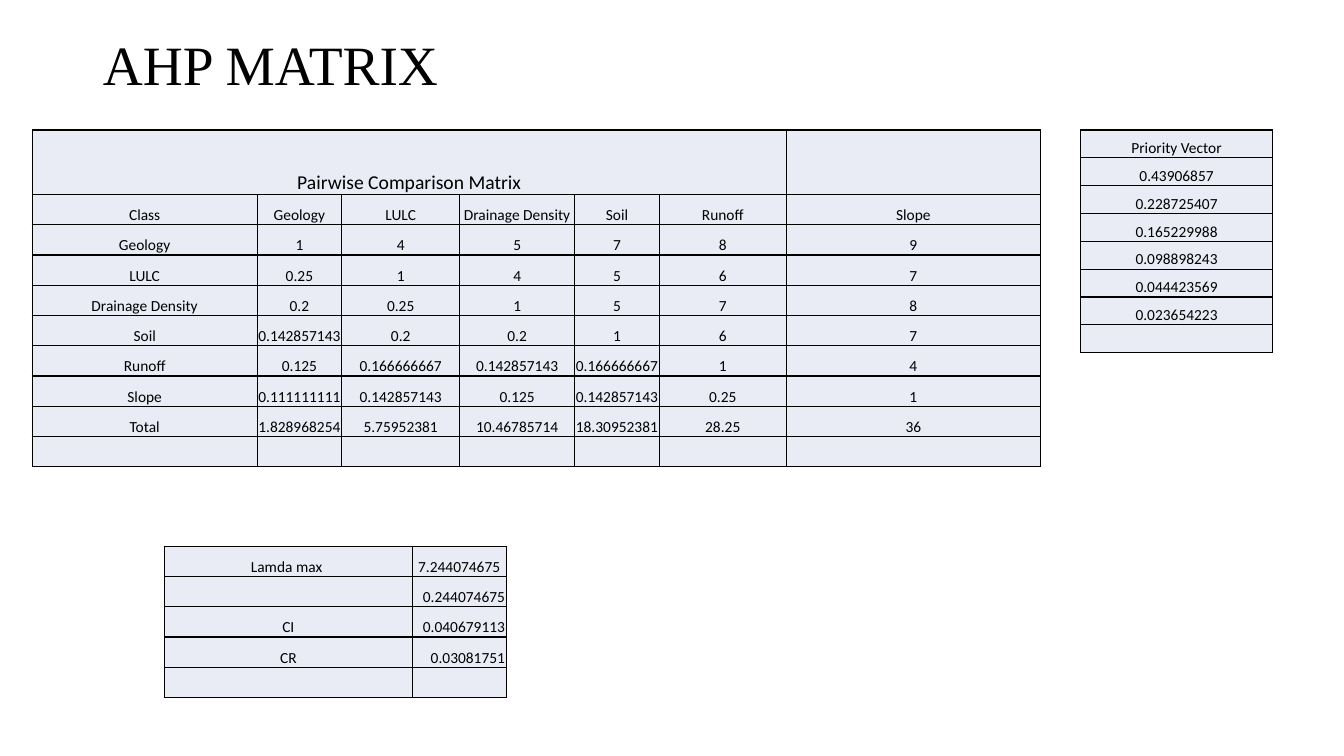
import lxml.etree
import pptx
import pptx.dml.color
import pptx.enum.text
import pptx.oxml.ns
import pptx.util

Inches, Pt = pptx.util.Inches, pptx.util.Pt
ALIGN, ANCHOR = pptx.enum.text.PP_ALIGN, pptx.enum.text.MSO_ANCHOR
INK, CELL_FILL = "000000", "E9EBF5"


def color(value):
    return pptx.dml.color.RGBColor.from_string(value)


def add_grid(left, top, widths, heights, rows):
    """Add a filled, fully ruled table with centred text and return it."""
    table = slide.shapes.add_table(
        len(heights), len(widths), Inches(left), Inches(top),
        Inches(sum(widths)), Inches(sum(heights))).table
    table.first_row = table.horz_banding = False
    for column, width in zip(table.columns, widths):
        column.width = Inches(width)
    for row, height, words in zip(table.rows, heights, rows):
        row.height = Inches(height)
        for cell, word in zip(row.cells, words):
            cell.margin_left = cell.margin_right = cell.margin_top = Inches(0.01)
            cell.margin_bottom = 0
            cell.vertical_anchor = ANCHOR.BOTTOM
            cell.text = word
            paragraph = cell.text_frame.paragraphs[0]
            paragraph.alignment = ALIGN.CENTER
            paragraph.font.size = Pt(11)
            paragraph.font.name = "Calibri"
            paragraph.font.color.rgb = color(INK)
            cell.fill.solid()
            cell.fill.fore_color.rgb = color(CELL_FILL)
            properties = cell.fill._xPr
            for index, side in enumerate(("lnL", "lnR", "lnT", "lnB")):
                border = lxml.etree.Element(pptx.oxml.ns.qn(f"a:{side}"), w=str(Pt(1)))
                solid = lxml.etree.SubElement(border, pptx.oxml.ns.qn("a:solidFill"))
                lxml.etree.SubElement(solid, pptx.oxml.ns.qn("a:srgbClr"), val=INK)
                properties.insert(index, border)
    return table


prs = pptx.Presentation()
prs.slide_width, prs.slide_height = Inches(13.33), Inches(7.5)
slide = prs.slides.add_slide(prs.slide_layouts[5])

title = slide.shapes.title
title.left, title.top = Inches(0.92), Inches(0.4)
title.width, title.height = Inches(11.5), Inches(0.54)
title.text_frame.text = "AHP MATRIX"
title.text_frame.auto_size = pptx.enum.text.MSO_AUTO_SIZE.NONE
title.text_frame.vertical_anchor = ANCHOR.MIDDLE
heading = title.text_frame.paragraphs[0]
heading.alignment = ALIGN.LEFT
heading.line_spacing = 0.9
heading.font.size = Pt(39.6)
heading.font.name = "Times New Roman"
heading.font.color.rgb = color(INK)

classes = ["Geology", "LULC", "Drainage Density", "Soil", "Runoff", "Slope"]
comparisons = [
    ["1", "4", "5", "7", "8", "9"],
    ["0.25", "1", "4", "5", "6", "7"],
    ["0.2", "0.25", "1", "5", "7", "8"],
    ["0.142857143", "0.2", "0.2", "1", "6", "7"],
    ["0.125", "0.166666667", "0.142857143", "0.166666667", "1", "4"],
    ["0.111111111", "0.142857143", "0.125", "0.142857143", "0.25", "1"],
]
totals = ["1.828968254", "5.75952381", "10.46785714", "18.30952381", "28.25", "36"]
matrix = add_grid(
    0.32, 1.29, [2.23, 0.84, 1.17, 1.14, 0.84, 1.26, 2.52], [0.64] + [0.3] * 9,
    [["Pairwise Comparison Matrix"] + [""] * 6,
     ["Class"] + classes,
     *([name] + values for name, values in zip(classes, comparisons)),
     ["Total"] + totals,
     [""] * 7])
matrix.cell(0, 0).merge(matrix.cell(0, 5))
matrix.cell(0, 0).text_frame.paragraphs[0].font.size = Pt(14)

consistency = add_grid(
    1.63, 5.42, [2.46, 0.93], [0.3] * 5,
    [["Lamda max ", "7.244074675"], ["", "0.244074675"],
     ["CI", "0.040679113"], ["CR", "0.03081751"], ["", ""]])
for row in range(1, 4):
    consistency.cell(row, 1).text_frame.paragraphs[0].alignment = ALIGN.RIGHT

priorities = ["0.43906857", "0.228725407", "0.165229988",
              "0.098898243", "0.044423569", "0.023654223"]
add_grid(10.72, 1.29, [1.9], [2.21 / 8] * 8,
         [[word] for word in ["Priority Vector", *priorities, ""]])

prs.save("out.pptx")
